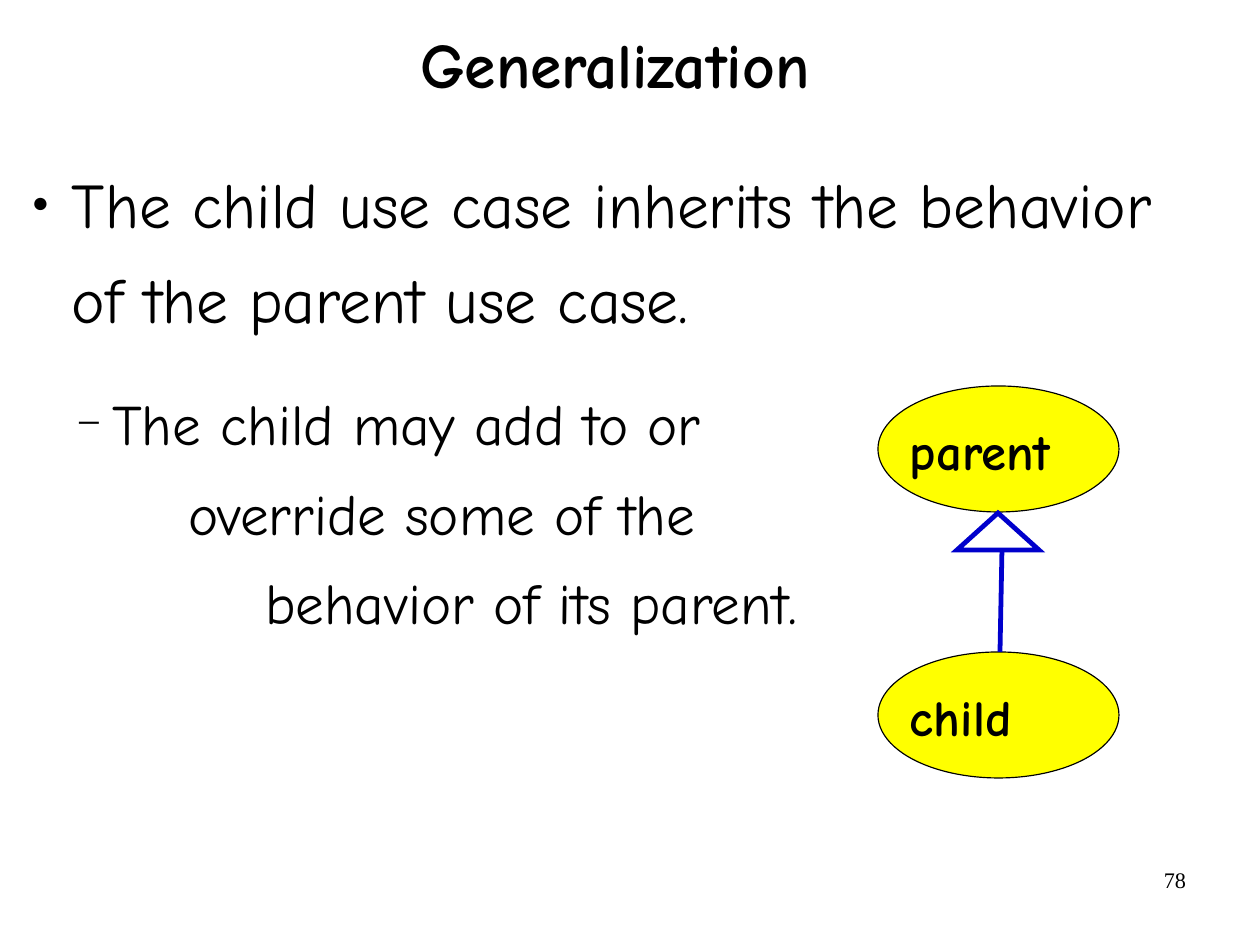
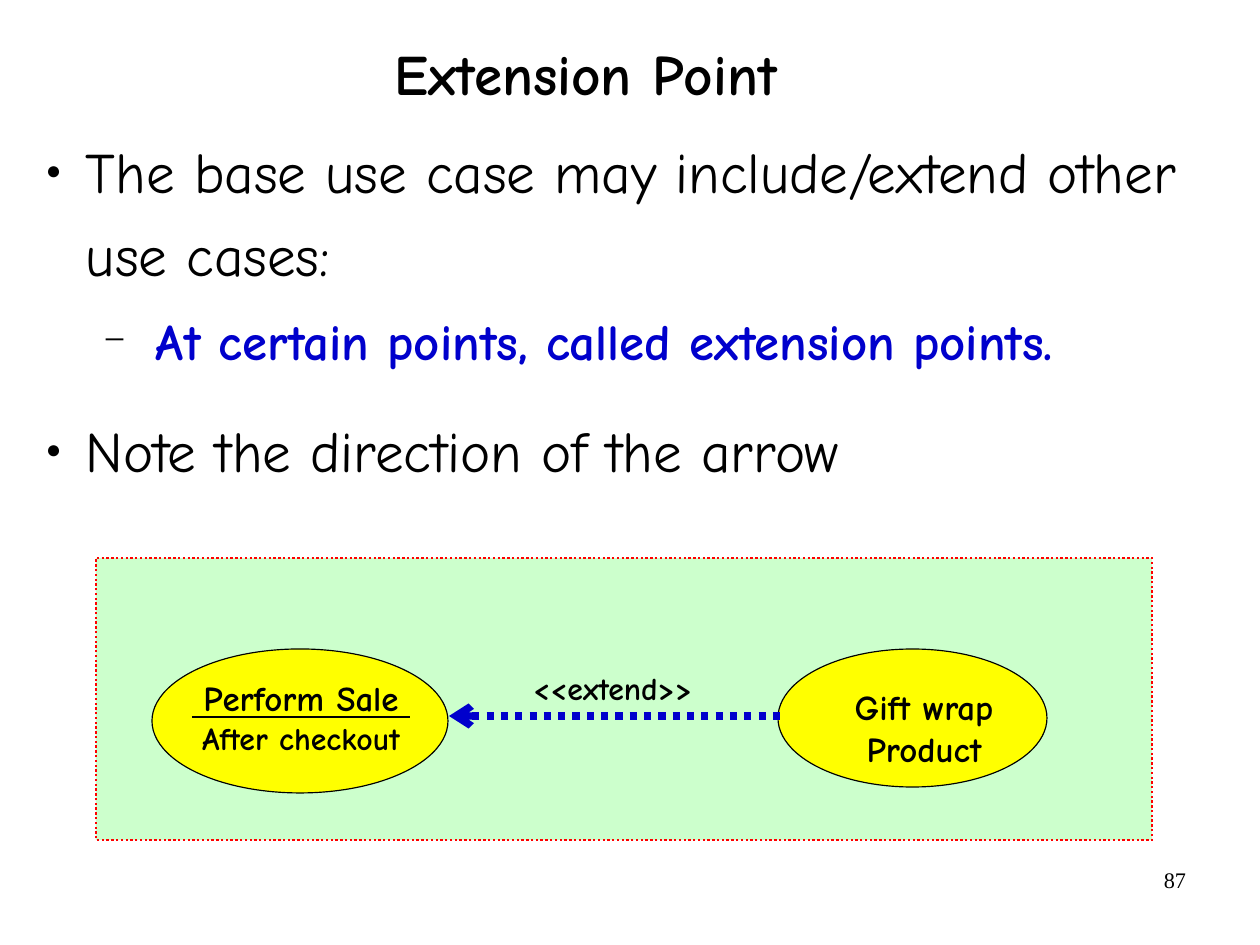
from lxml.etree import SubElement
from pptx import Presentation
from pptx.dml.color import RGBColor
from pptx.enum.dml import MSO_LINE
from pptx.enum.shapes import MSO_CONNECTOR, MSO_SHAPE
from pptx.enum.text import MSO_ANCHOR, PP_ALIGN
from pptx.oxml.ns import qn
from pptx.util import Pt

PX = 8000
BLACK = RGBColor(0, 0, 0)
BLUE = RGBColor(0, 0, 0xCC)
RED = RGBColor(0xFF, 0, 0)
YELLOW = RGBColor(0xFF, 0xFF, 0)
GREEN = RGBColor(0xCC, 0xFF, 0xCC)
SANS = "Comic Neue"
SERIF = "Times New Roman"
DOT = ("●", 45)
DASH = ("−", 75)


def scale(*sizes):
    return [size * PX for size in sizes]


def add_box(slide, box, pad=(0, 0), wrap=True):
    frame = slide.shapes.add_textbox(*scale(*box)).text_frame
    frame.word_wrap = wrap
    frame.margin_left = frame.margin_right = pad[0] * PX
    frame.margin_top = frame.margin_bottom = pad[1] * PX
    return frame


def add_para(frame, align=PP_ALIGN.LEFT):
    para = frame.paragraphs[0]
    if para.runs:
        para = frame.add_paragraph()
    para.alignment = align
    return para


def add_run(para, text, size, bold=False, color=BLACK, face=SANS):
    run = para.add_run()
    run.text = text
    font = run.font
    font.size, font.bold, font.name = Pt(size), bold, face
    font.color.rgb = color


def add_item(frame, text, size, left, hang=0, mark=None, space=1.2,
             before=0, after=0, bold=False, color=BLACK):
    para = add_para(frame)
    para.line_spacing = space
    para.space_before, para.space_after = Pt(before), Pt(after)
    props = para._p.get_or_add_pPr()
    props.set("marL", str(left * PX))
    props.set("indent", str(-hang * PX))
    if mark:
        tint = SubElement(props, qn("a:buClr"))
        SubElement(tint, qn("a:srgbClr"), val=str(BLACK))
        SubElement(props, qn("a:buSzPct"), val=str(mark[1] * 1000))
        SubElement(props, qn("a:buFont"), typeface=SERIF)
        SubElement(props, qn("a:buChar"), char=mark[0])
    else:
        SubElement(props, qn("a:buNone"))
    add_run(para, text, size, bold, color)


def add_label(slide, box, lines, align=PP_ALIGN.CENTER, wrap=True):
    frame = add_box(slide, box, (13, 6), wrap)
    for text, size in lines:
        add_run(add_para(frame, align), text, size, True)


def add_form(slide, kind, box, fill, color, width, dash=None):
    shape = slide.shapes.add_shape(kind, *scale(*box))
    shape.shadow.inherit = False
    if fill is None:
        shape.fill.background()
    else:
        shape.fill.solid()
        shape.fill.fore_color.rgb = fill
    shape.line.color.rgb = color
    shape.line.width = Pt(width)
    if dash:
        shape.line.dash_style = dash
    SubElement(shape.line._get_or_add_ln(), qn("a:miter"), lim="800000")


def add_oval(slide, box):
    add_form(slide, MSO_SHAPE.OVAL, box, YELLOW, BLACK, 0.75)


def add_line(slide, ends, color, width, dash=None, head=None):
    line = slide.shapes.add_connector(MSO_CONNECTOR.STRAIGHT, *scale(*ends))
    line.line.color.rgb = color
    line.line.width = Pt(width)
    if dash:
        line.line.dash_style = dash
    if head:
        SubElement(line.line._get_or_add_ln(), qn("a:headEnd"), type=head)
    SubElement(line._element.spPr, qn("a:effectLst"))


def add_page(deck, title, box, size, number):
    slide = deck.slides.add_slide(deck.slide_layouts[6])
    foot = add_box(slide, (903, 860, 294, 65), (11, 6))
    add_run(add_para(foot, PP_ALIGN.RIGHT), number, 14, face=SERIF)
    frame = add_box(slide, box)
    frame.vertical_anchor = MSO_ANCHOR.MIDDLE
    para = add_para(frame, PP_ALIGN.CENTER)
    para.line_spacing = 0.88
    add_run(para, title, size, True)
    return slide


def draw_tree(slide, box):
    left, top, width, height = box
    tall = 126
    low = top + height - tall
    for text, y in (("parent", top), ("child", low)):
        add_oval(slide, (left, y, width, tall))
        add_label(slide, (left + 19, y + 28, 221, 73), [(text, 32)], PP_ALIGN.LEFT)
    tip = top + tall + 1
    add_line(slide, (left + 124, tip + 37, left + 122, low), BLUE, 3)
    add_form(slide, MSO_SHAPE.ISOSCELES_TRIANGLE, (left + 79, tip, 82, 37), None, BLUE, 3)


def draw_flow(slide, box):
    left, top = box[:2]
    add_oval(slide, (left + 56, top + 91, 296, 144))
    add_label(slide, (left + 69, top + 113, 272, 93),
              [("Perform Sale", 22), ("After checkout", 20)])
    add_oval(slide, (left + 682, top + 91, 269, 138))
    add_label(slide, (left + 705, top + 122, 246, 96), [("Gift wrap Product", 22)])
    add_line(slide, (left + 353, top + 158, left + 684, top + 158),
             BLUE, 4.5, MSO_LINE.ROUND_DOT, "arrow")
    add_label(slide, (left + 424, top + 105, 209, 51), [("<<extend>>", 20)],
              PP_ALIGN.LEFT, False)
    add_line(slide, (left + 96, top + 159, left + 314, top + 159), BLACK, 0.75)


def make_child(deck):
    slide = add_page(deck, "Generalization", (78, -10, 1074, 157), 40, "78")
    body = add_box(slide, (19, 146, 1191, 734))
    add_item(body, "The child use case inherits the behavior of the parent use case.",
             40, 53, 40, DOT, 1.25, after=14)
    add_item(body, "The child may add to or", 36, 93, 35, DASH, 1.3, before=6)
    add_item(body, "override some of the", 36, 169, space=1.3)
    add_item(body, "behavior of its parent.", 36, 246, space=1.3, after=14)
    draw_tree(slide, (878, 386, 241, 392))


def make_point(deck):
    slide = add_page(deck, "Extension Point", (49, 22, 1074, 111), 36, "87")
    body = add_box(slide, (33, 123, 1221, 513))
    add_item(body, "The base use case may include/extend other use cases:",
             36, 53, 40, DOT)
    add_item(body, "At certain points, called extension points.",
             32, 123, 52, DASH, before=6, after=14, bold=True, color=BLUE)
    add_item(body, "Note the direction of the arrow", 36, 53, 40, DOT, before=6, after=14)
    area = (96, 558, 1056, 282)
    add_form(slide, MSO_SHAPE.RECTANGLE, area, GREEN, RED, 1.5, MSO_LINE.ROUND_DOT)
    draw_flow(slide, area)


def main():
    deck = Presentation()
    deck.slide_width, deck.slide_height = scale(1260, 945)
    make_child(deck)
    make_point(deck)
    deck.save("out.pptx")


if __name__ == "__main__":
    main()
